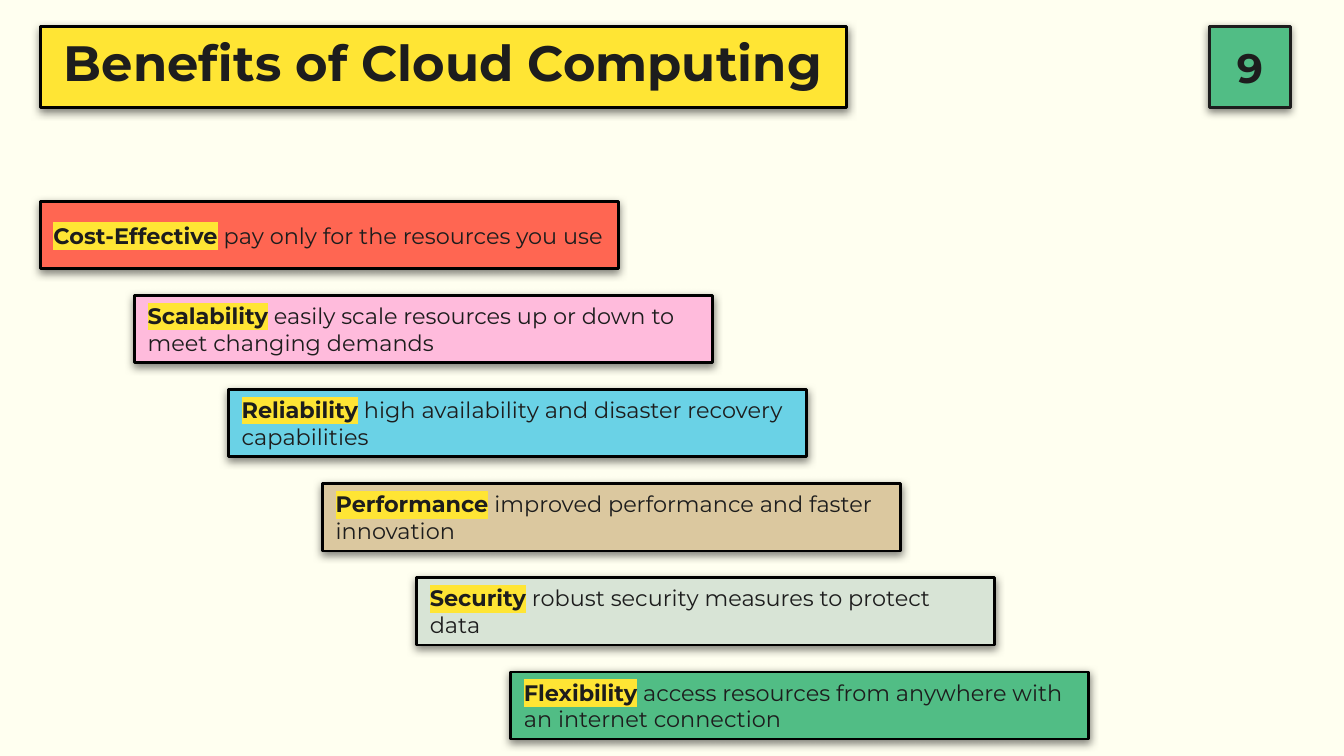
from dataclasses import dataclass

from lxml import etree
from pptx import Presentation
from pptx.dml.color import RGBColor
from pptx.enum.shapes import MSO_SHAPE
from pptx.enum.text import MSO_ANCHOR, PP_ALIGN
from pptx.oxml.ns import qn
from pptx.util import Inches, Pt

RECTANGLE = MSO_SHAPE.RECTANGLE
MIDDLE = MSO_ANCHOR.MIDDLE
CENTER = PP_ALIGN.CENTER
LEFT = PP_ALIGN.LEFT

SLIDE_WIDTH = Inches(10)
SLIDE_HEIGHT = SLIDE_WIDTH * 9 // 16
UNIT = SLIDE_WIDTH // 100


@dataclass(frozen=True)
class Theme:
    font: str = "Montserrat"
    background: str = "FFFFF0"
    ink: str = "1D1D1D"
    border: str = "000000"
    shadow: str = "000000"
    yellow: str = "FFE534"
    green: str = "51BD85"
    red: str = "FF6652"
    pink: str = "FFBBDC"
    blue: str = "6AD2E6"
    tan: str = "DBC89F"
    sage: str = "D8E4D6"
    title_size: float = 26.6
    number_size: float = 22
    body_size: float = 12
    border_width: float = 1.5


THEME = Theme()

BENEFITS = [
    ("Cost-Effective", "pay only for the resources you use", THEME.red),
    ("Scalability", "easily scale resources up or down to meet changing demands", THEME.pink),
    ("Reliability", "high availability and disaster recovery capabilities", THEME.blue),
    ("Performance", "improved performance and faster innovation", THEME.tan),
    ("Security", "robust security measures to protect data", THEME.sage),
    ("Flexibility", "access resources from anywhere with an internet connection", THEME.green),
]


def color(value):
    return RGBColor.from_string(value)


def add_shadow(card):
    card.shadow.inherit = False
    effects = card.element.spPr.find(qn("a:effectLst"))
    shadow = etree.SubElement(
        effects,
        qn("a:outerShdw"),
        blurRad=str(Pt(4.5)),
        dist=str(Pt(1.5)),
        dir="5400000",
        algn="t",
        rotWithShape="0",
    )
    tone = etree.SubElement(shadow, qn("a:srgbClr"), val=THEME.shadow)
    etree.SubElement(tone, qn("a:alpha"), val="50000")


def add_card(page, box, fill, border=THEME.border):
    card = page.shapes.add_shape(RECTANGLE, *(side * UNIT for side in box))
    card.fill.solid()
    card.fill.fore_color.rgb = color(fill)
    card.line.color.rgb = color(border)
    card.line.width = Pt(THEME.border_width)
    add_shadow(card)
    frame = card.text_frame
    frame.word_wrap = True
    frame.vertical_anchor = MIDDLE
    frame.margin_left = frame.margin_right = UNIT
    frame.margin_top = frame.margin_bottom = UNIT
    return frame.paragraphs[0]


def style_paragraph(para, size, alignment):
    para.alignment = alignment
    para.font.name = THEME.font
    para.font.size = Pt(size)
    para.font.color.rgb = color(THEME.ink)


def add_heading(page, box, text, size, fill, border=THEME.border):
    para = add_card(page, box, fill, border)
    style_paragraph(para, size, CENTER)
    para.font.bold = True
    para.add_run().text = text
    return para


def add_header(page, box):
    left, top, width, height = box
    title = add_heading(page, (left, top, 60, height), "Benefits of Cloud Computing",
                        THEME.title_size, THEME.yellow)
    title.line_spacing = 0.8
    add_heading(page, (left + width - height, top, height, height), "9",
                THEME.number_size, THEME.green, THEME.ink)


def highlight(span):
    mark = etree.SubElement(span.font._element, qn("a:highlight"))
    etree.SubElement(mark, qn("a:srgbClr"), val=THEME.yellow)


def add_benefit(page, box, name, detail, fill):
    para = add_card(page, box, fill)
    style_paragraph(para, THEME.body_size, LEFT)
    label = para.add_run()
    label.text = name
    label.font.bold = True
    highlight(label)
    para.add_run().text = f" {detail}"


def add_staircase(page, box, benefits):
    left, top, width, height = box
    card_width, card_height = 43, 5
    steps = len(benefits) - 1
    step_across = (width - card_width) / steps
    step_down = (height - card_height) / steps
    for index, benefit in enumerate(benefits):
        corner = (round(left + index * step_across), round(top + index * step_down))
        add_benefit(page, (*corner, card_width, card_height), *benefit)


def main():
    deck = Presentation()
    deck.slide_width = SLIDE_WIDTH
    deck.slide_height = SLIDE_HEIGHT
    page = deck.slides.add_slide(deck.slide_layouts[6])
    page.background.fill.solid()
    page.background.fill.fore_color.rgb = color(THEME.background)
    add_header(page, (3, 2, 93, 6))
    add_staircase(page, (3, 15, 78, 40), BENEFITS)
    deck.save("out.pptx")


if __name__ == "__main__":
    main()
